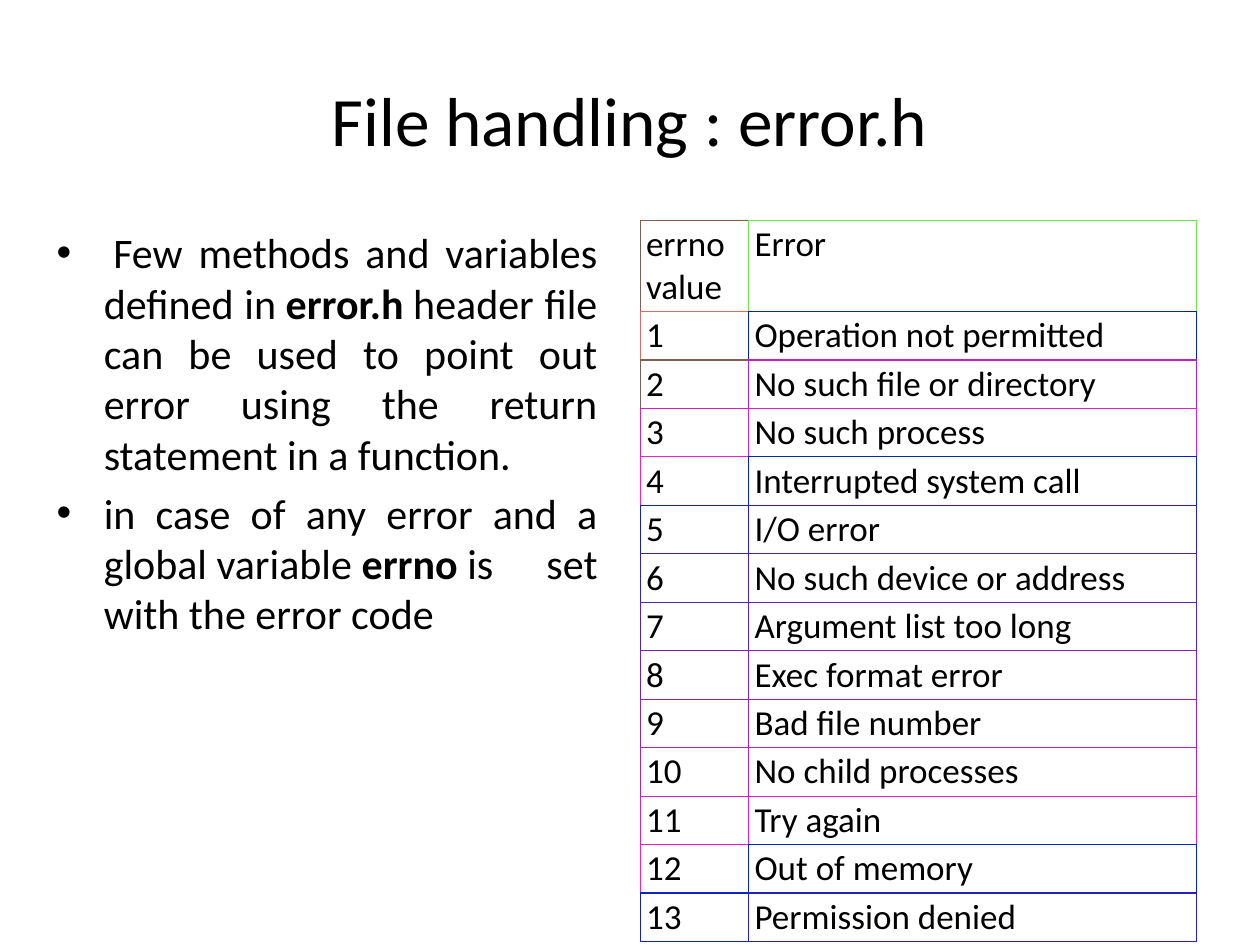
from lxml.etree import SubElement
from pptx import Presentation
from pptx.dml.color import RGBColor
from pptx.enum.text import MSO_ANCHOR, PP_ALIGN
from pptx.oxml.ns import qn
from pptx.util import Pt

COLOURS = {
    "text": "000000",
    "paper": "FFFFFF",
    "brown": "805E4F",
    "coral": "E06A63",
    "green": "70E44E",
    "blue": "0020C3",
    "magenta": "C020C3",
}
ERRORS = [
    "Operation not permitted", "No such file or directory", "No such process",
    "Interrupted system call", "I/O error", "No such device or address",
    "Argument list too long", "Exec format error", "Bad file number",
    "No child processes", "Try again", "Out of memory", "Permission denied",
]
BULLETS = [
    [("\u00a0Few methods and variables defined in\u00a0", False),
     ("error.h", True),
     ("\u00a0header file can be used to point out error using the return "
      "statement in a\u00a0function.\u00a0", False)],
    [("in case of any error and a global\u00a0variable\u00a0", False),
     ("errno", True),
     ("\u00a0is set with the error code", False)],
]


def counter_colour(step):
    high, low = divmod(0x20D0 + 0x10 * step, 0x100)
    return f"{low:02X}{high:02X}C3"


class SlideBuilder:
    font_name = "Calibri"
    border_width = 0.75

    def __init__(self, slide):
        self.slide = slide

    def style(self, paragraph, size, alignment=PP_ALIGN.LEFT):
        paragraph.alignment = alignment
        paragraph.font.name = self.font_name
        paragraph.font.size = Pt(size)
        paragraph.font.color.rgb = RGBColor.from_string(COLOURS["text"])

    def text_frame(self, left, top, width, height):
        shape = self.slide.shapes.add_textbox(Pt(left), Pt(top), Pt(width), Pt(height))
        shape.text_frame.word_wrap = True
        return shape.text_frame

    def title(self, text, left, top, width, height):
        frame = self.text_frame(left, top, width, height)
        frame.vertical_anchor = MSO_ANCHOR.BOTTOM
        frame.margin_top = frame.margin_bottom = 0
        frame.text = text
        self.style(frame.paragraphs[0], 39.6, PP_ALIGN.CENTER)

    def bullets(self, items, left, top, width, height, indent=27):
        frame = self.text_frame(left, top, width, height)
        for index, runs in enumerate(items):
            paragraph = frame.add_paragraph() if index else frame.paragraphs[0]
            self.style(paragraph, 24, PP_ALIGN.JUSTIFY)
            paragraph.space_before = Pt(4.8 if index else 0)
            properties = paragraph._p.get_or_add_pPr()
            properties.set("marL", str(Pt(indent)))
            properties.set("indent", str(-Pt(indent)))
            bullet_font = properties.makeelement(qn("a:buFont"), {"typeface": "Arial"})
            bullet = properties.makeelement(qn("a:buChar"), {"char": "•"})
            properties.find(qn("a:defRPr")).addprevious(bullet_font)
            bullet_font.addnext(bullet)
            for text, bold in runs:
                run = paragraph.add_run()
                run.text = text
                run.font.bold = bold

    def border(self, cell, colours):
        properties = cell._tc.get_or_add_tcPr()
        for index, (side, colour) in enumerate(colours.items()):
            line = properties.makeelement(
                qn(f"a:ln{side}"), {"w": str(Pt(self.border_width))})
            fill = SubElement(line, qn("a:solidFill"))
            SubElement(fill, qn("a:srgbClr"), val=colour)
            properties.insert(index, line)

    def table(self, rows, colours, left, top, widths, heights):
        shape = self.slide.shapes.add_table(
            len(rows), len(widths), Pt(left), Pt(top), Pt(sum(widths)), Pt(sum(heights)))
        table = shape.table
        table.first_row = table.horz_banding = False
        for column, width in zip(table.columns, widths):
            column.width = Pt(width)
        for row, height in zip(table.rows, heights):
            row.height = Pt(height)
        last_row, last_column = len(rows) - 1, len(widths) - 1
        for r, texts in enumerate(rows):
            for c, text in enumerate(texts):
                cell = table.cell(r, c)
                cell.text = text
                cell.margin_left = cell.margin_right = Pt(3.4)
                cell.margin_top = cell.margin_bottom = Pt(1.7)
                cell.fill.solid()
                cell.fill.fore_color.rgb = RGBColor.from_string(COLOURS["paper"])
                self.style(cell.text_frame.paragraphs[0], 20)
                own = colours[r][c]
                self.border(cell, {
                    "L": own,
                    "R": colours[r][min(c + 1, last_column)],
                    "T": own,
                    "B": colours[min(r + 1, last_row)][c],
                })


presentation = Presentation()
presentation.slide_width, presentation.slide_height = Pt(720), Pt(540)
builder = SlideBuilder(presentation.slides.add_slide(presentation.slide_layouts[6]))

builder.title("File handling : error.h", 36, 21.6, 648, 70)
builder.bullets(BULLETS, 25.2, 126, 323.3, 388)

error_rows = [("errno value", "Error")]
error_rows += [(str(number), error) for number, error in enumerate(ERRORS, 1)]
first_colours = [("brown", "green"), ("coral", "blue"), ("brown", "magenta")]
border_colours = [[COLOURS[name] for name in pair] for pair in first_colours]
border_colours += [
    [counter_colour(2 * step), counter_colour(2 * step + 1)]
    for step in range(len(error_rows) - len(first_colours))
]
builder.table(error_rows, border_colours, 365.8, 126, [62, 256],
              [52] + [27.7] * len(ERRORS))

presentation.save("out.pptx")
